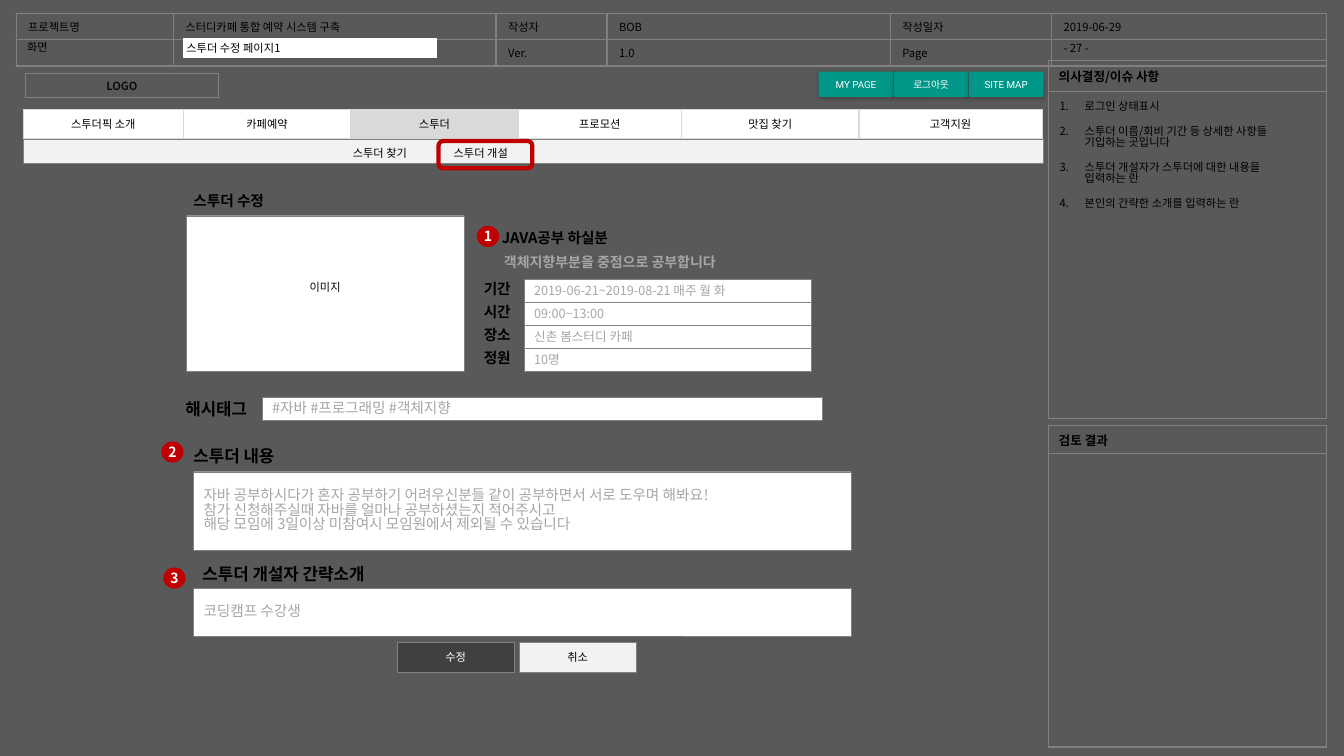
import pptx
import pptx.util
import pptx.dml.color
import pptx.enum.shapes
import pptx.enum.text
import pptx.oxml.ns
from dataclasses import dataclass
from lxml import etree

Inches, Pt = pptx.util.Inches, pptx.util.Pt
SHAPE = pptx.enum.shapes.MSO_SHAPE
ANCHOR = pptx.enum.text.MSO_ANCHOR
ALIGN = pptx.enum.text.PP_ALIGN
qn = pptx.oxml.ns.qn


@dataclass(frozen=True)
class Theme:
    font: str = "Noto Sans CJK KR"
    button_font: str = "Roboto"
    back: str = "595959"
    ink: str = "000000"
    logo: str = "0D0D0D"
    white: str = "FFFFFF"
    hint: str = "A6A6A6"
    border: str = "808080"
    grid: str = "D9D9D9"
    pale: str = "F2F2F2"
    dark: str = "404040"
    red: str = "C00000"
    teal: str = "009688"
    tiny: float = 7
    small: float = 8
    field: float = 9
    medium: float = 10
    body: float = 10.5
    heading: float = 12


T = Theme()


def rgb(value):
    return pptx.dml.color.RGBColor.from_string(value)


def write(tf, paragraphs, size=T.small, color=T.ink, bold=False, font=T.font, **fmt):
    """Fill a text frame; a newline inside a paragraph is a line break."""
    for i, text in enumerate(paragraphs):
        p = tf.paragraphs[0] if i == 0 else tf.add_paragraph()
        for key, value in fmt.items():
            setattr(p, key, value)
        for j, line in enumerate(text.split("\n")):
            if j:
                p.add_line_break()
            r = p.add_run()
            r.text = line
            for key, value in dict(size=Pt(size), bold=bold, name=font).items():
                setattr(r.font, key, value)
            r.font.color.rgb = rgb(color)
            etree.SubElement(r.font._element, qn("a:ea"), typeface=font)


def set_frame(tf, x_inset=0.1, y_inset=0.05, anchor=ANCHOR.TOP, wrap=True):
    frame = dict(margin_left=Inches(x_inset), margin_right=Inches(x_inset),
                 margin_top=Inches(y_inset), margin_bottom=Inches(y_inset),
                 vertical_anchor=anchor, word_wrap=wrap)
    for key, value in frame.items():
        setattr(tf, key, value)


def add_text(s, box, *paragraphs, frame=None, **fmt):
    tf = s.shapes.add_textbox(*map(Inches, box)).text_frame
    set_frame(tf, **(frame or {}))
    write(tf, paragraphs, **fmt)
    return tf


def add_box(s, box, *paragraphs, kind=SHAPE.RECTANGLE, fill=T.white, line=T.border,
            width=0.25, frame=None, **fmt):
    sp = s.shapes.add_shape(kind, *map(Inches, box))
    sp.shadow.inherit = False
    if fill:
        sp.fill.solid()
        sp.fill.fore_color.rgb = rgb(fill)
    else:
        sp.fill.background()
    if line:
        sp.line.color.rgb = rgb(line)
        sp.line.width = Pt(width)
    else:
        sp.line.fill.background()
    set_frame(sp.text_frame, **{"anchor": ANCHOR.MIDDLE, **(frame or {})})
    write(sp.text_frame, paragraphs, **{"alignment": ALIGN.LEFT, **fmt})
    return sp


def set_borders(cell, color):
    tcPr = cell._tc.get_or_add_tcPr()
    for i, side in enumerate(("lnL", "lnR", "lnT", "lnB")):
        ln = etree.Element(qn("a:" + side), w=str(Pt(1)))
        fill = etree.SubElement(ln, qn("a:solidFill"))
        etree.SubElement(fill, qn("a:srgbClr"), val=color)
        tcPr.insert(i, ln)


def add_grid(s, left, top, cols, rows, texts, border=T.border, fills=None,
             anchor=ANCHOR.TOP, x_inset=0.12, **fmt):
    box = map(Inches, (left, top, sum(cols), sum(rows)))
    table = s.shapes.add_table(len(rows), len(cols), *box).table
    table.first_row = table.horz_banding = False
    for col, width in zip(table.columns, cols):
        col.width = Inches(width)
    for row, height in zip(table.rows, rows):
        row.height = Inches(height)
    for i, cell in enumerate(table.iter_cells()):
        for key, value in dict(margin_left=Inches(x_inset), margin_right=Inches(x_inset),
                               vertical_anchor=anchor).items():
            setattr(cell, key, value)
        if fills:
            cell.fill.solid()
            cell.fill.fore_color.rgb = rgb(fills[i])
        else:
            cell.fill.background()
        set_borders(cell, border)
        if texts[i]:
            write(cell.text_frame, [texts[i]], **fmt)
        else:
            etree.SubElement(cell.text_frame.paragraphs[0]._p, qn("a:endParaRPr"),
                             sz=str(T.small * 100))


def add_badge(s, left, top, number):
    add_box(s, (left, top, 0.22, 0.21), number, kind=SHAPE.OVAL, fill=T.red, line=None,
            frame=dict(x_inset=0, y_inset=0), size=T.medium, color=T.white, bold=True,
            alignment=ALIGN.CENTER)


def add_menu_button(s, left, label):
    sp = add_box(s, (left, 0.71, 0.74, 0.25), label, kind=SHAPE.ROUNDED_RECTANGLE,
                 fill=T.teal, line=None, frame=dict(x_inset=0.08), size=T.tiny,
                 color=T.white, font=T.button_font, alignment=ALIGN.CENTER)
    sp.adjustments[0] = 0.05
    shadow = etree.SubElement(sp._element.spPr.find(qn("a:effectLst")), qn("a:outerShdw"),
                              blurRad=str(Pt(3)), dist=str(Pt(1)), dir="5400000")
    clr = etree.SubElement(shadow, qn("a:srgbClr"), val=T.ink)
    etree.SubElement(clr, qn("a:alpha"), val="25000")


def add_notes(s):
    tf = add_text(s, (10.41, 0.96, 2.62, 2.95), "로그인 상태표시",
                  "스투더 이름/회비 기간 등 상세한 사항들\n기입하는 곳입니다",
                  "스투더 개설자가 스투더에 대한 내용을\n입력하는 란",
                  "본인의 간략한 소개를 입력하는 란", line_spacing=0.85, space_after=Pt(9.5))
    for p in tf.paragraphs:
        pPr = p._p.get_or_add_pPr()
        pPr.set("marL", str(Inches(0.25)))
        pPr.set("indent", str(-Inches(0.25)))
        etree.SubElement(pPr, qn("a:buFont"), typeface="+mj-lt")
        etree.SubElement(pPr, qn("a:buAutoNum"), type="arabicPeriod")


def add_header(s):
    add_grid(s, 0.16, 0.13, (1.56, 3.2, 1.1, 2.81, 1.6, 2.73), (0.24, 0.24),
             ("프로젝트명", "스터디카페 통합 예약 시스템 구축", "작성자", "BOB", "작성일자",
              "2019-06-29", "", "", "Ver.", "1.0", "Page", ""))
    add_text(s, (10.45, 0.36, 1.07, 0.24), "- 27 -")
    add_text(s, (0.17, 0.35, 0.41, 0.24), "화면", frame=dict(wrap=False))
    add_box(s, (1.82, 0.38, 2.51, 0.19), line=T.white, width=1)
    add_text(s, (1.75, 0.38, 2.62, 0.2), "스투더 수정 페이지1", frame=dict(anchor=ANCHOR.MIDDLE))


def add_side_panels(s):
    for top, rows, title in ((0.6, (0.31, 3.24), "의사결정/이슈 사항"),
                             (4.22, (0.28, 2.91), "검토 결과")):
        add_grid(s, 10.4, top, (2.76,), rows, (title, ""), anchor=ANCHOR.MIDDLE,
                 x_inset=0.1, size=T.field, bold=True)
    add_notes(s)


def add_navigation(s):
    add_box(s, (0.25, 0.73, 1.92, 0.24), "LOGO", fill=None, width=0.75, color=T.logo,
            bold=True, alignment=ALIGN.CENTER)
    for i, label in enumerate(("MY PAGE", "로그아웃", "SITE MAP")):
        add_menu_button(s, 8.12 + 0.745 * i, label)
    menu = ("스투더픽 소개", "카페예약", "스투더", "프로모션", "맛집 찾기", "고객지원")
    add_grid(s, 0.23, 1.09, (1.59, 1.66, 1.66, 1.62, 1.76, 1.82), (0.28,), menu,
             border=T.grid, fills=[T.grid if m == "스투더" else T.white for m in menu],
             anchor=ANCHOR.MIDDLE, alignment=ALIGN.CENTER)
    add_box(s, (0.23, 1.38, 10.12, 0.24), fill=T.pale, width=0.5)
    add_text(s, (3.42, 1.41, 1.77, 0.22), "스투더 찾기\t스투더 개설",
             frame=dict(x_inset=0.08, y_inset=0.04))
    add_box(s, (4.35, 1.4, 0.93, 0.27), kind=SHAPE.ROUNDED_RECTANGLE, fill=None,
            line=T.red, width=3)


def add_form(s):
    photo = add_box(s, (1.85, 2.14, 2.75, 1.54), "이미지", alignment=ALIGN.CENTER)
    photo.text_frame.margin_bottom = Inches(0.17)
    add_text(s, (4.9, 2.47, 3.48, 0.27), "객체지향부분을 중점으로 공부합니다",
             size=T.medium, color=T.hint, bold=True)
    fields = (("기간", "2019-06-21~2019-08-21 매주 월 화"), ("시간", "09:00~13:00"),
              ("장소", "신촌 봄스터디 카페"), ("정원", "10명"))
    for i, (label, value) in enumerate(fields):
        top = 2.77 + 0.227 * i
        add_box(s, (5.2, top, 2.85, 0.23), value, size=T.field, color=T.hint)
        add_text(s, (4.7, top - 0.04, 1.43, 0.29), label, size=T.body, bold=True)
    for box, text in (((2.6, 3.94, 5.56, 0.23), ("#자바 #프로그래밍 #객체지향",)),
                      ((1.92, 4.68, 6.52, 0.78),
                       ("자바 공부하시다가 혼자 공부하기 어려우신분들 같이 공부하면서 서로 도우며 해봐요!\n"
                        "참가 신청해주실때 자바를 얼마나 공부하셨는지 적어주시고",
                        "해당 모임에 3일이상 미참여시 모임원에서 제외될 수 있습니다")),
                      ((1.92, 5.84, 6.52, 0.47), ("코딩캠프 수강생",))):
        add_box(s, box, *text, size=T.body, color=T.hint, line_spacing=0.82)
    for left, top, size, text in ((1.82, 1.85, T.body, "스투더 수정"),
                                  (4.88, 2.22, T.body, "JAVA공부 하실분"),
                                  (1.74, 3.91, T.heading, "해시태그"),
                                  (1.82, 4.37, T.heading, "스투더 내용"),
                                  (1.91, 5.54, T.heading, "스투더 개설자 간략소개")):
        add_text(s, (left, top, 2.12, 0.3), text, size=size, bold=True)
    for left, top, number in ((4.73, 2.24, "1"), (1.6, 4.38, "2"), (1.62, 5.63, "3")):
        add_badge(s, left, top, number)
    for left, label, fill, color in ((3.94, "수정", T.dark, T.white),
                                     (5.15, "취소", T.pale, T.ink)):
        add_box(s, (left, 6.37, 1.16, 0.3), label, fill=fill, color=color,
                alignment=ALIGN.CENTER)


def main():
    prs = pptx.Presentation()
    prs.slide_width, prs.slide_height = Inches(13.33), Inches(7.5)
    s = prs.slides.add_slide(prs.slide_layouts[6])
    s.background.fill.solid()
    s.background.fill.fore_color.rgb = rgb(T.back)
    for add_part in (add_header, add_side_panels, add_navigation, add_form):
        add_part(s)
    prs.save("out.pptx")


if __name__ == "__main__":
    main()
